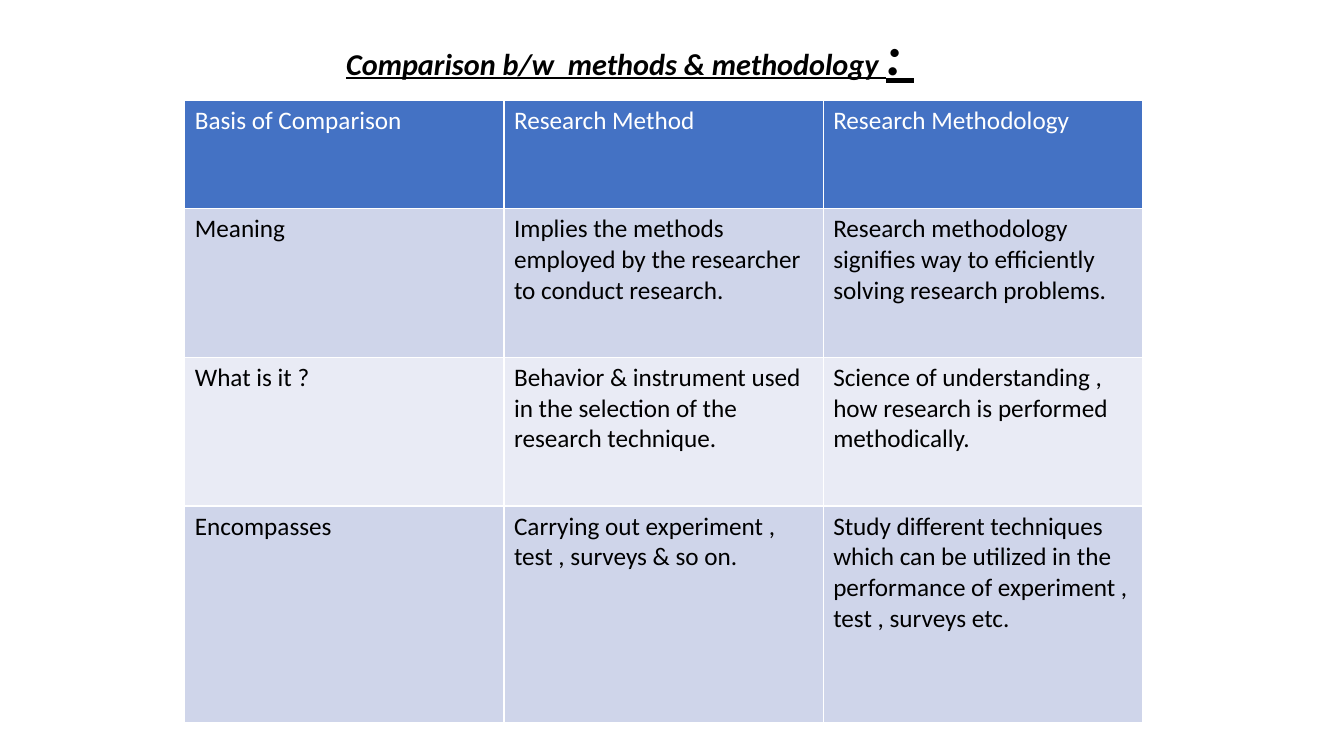
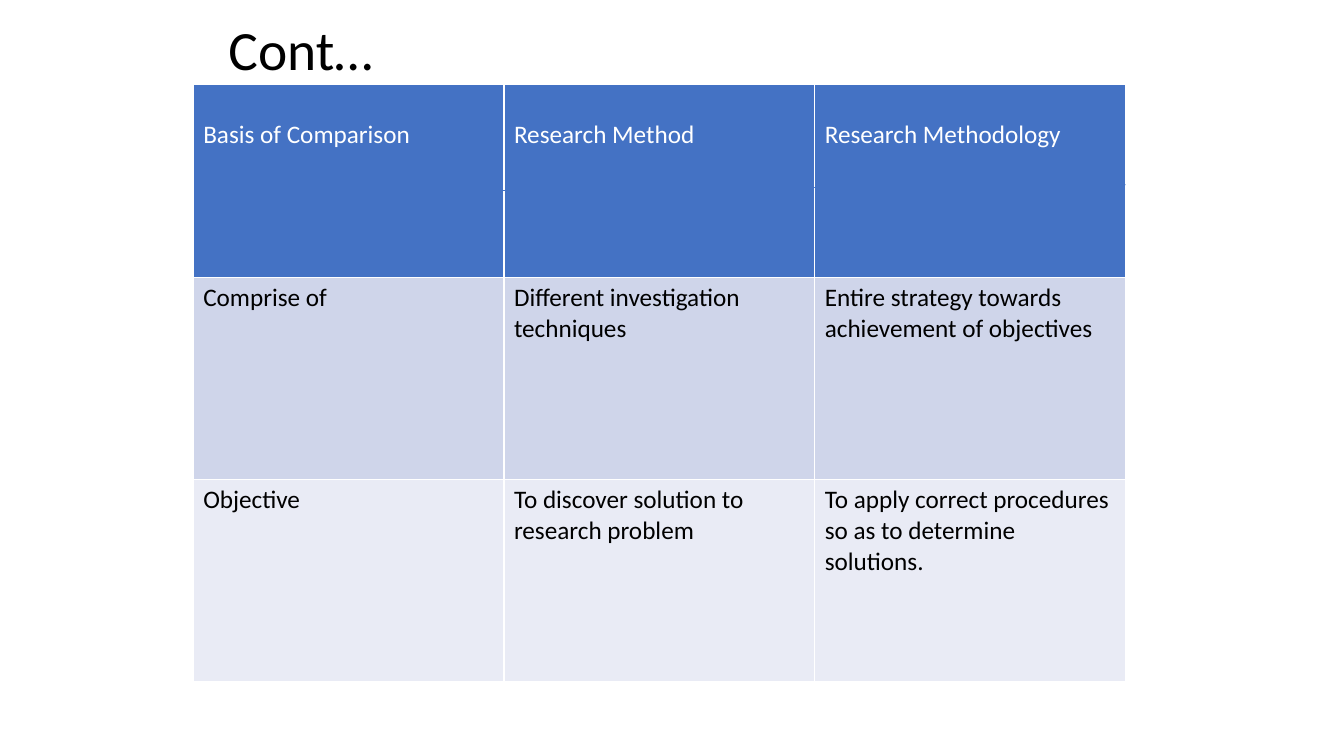
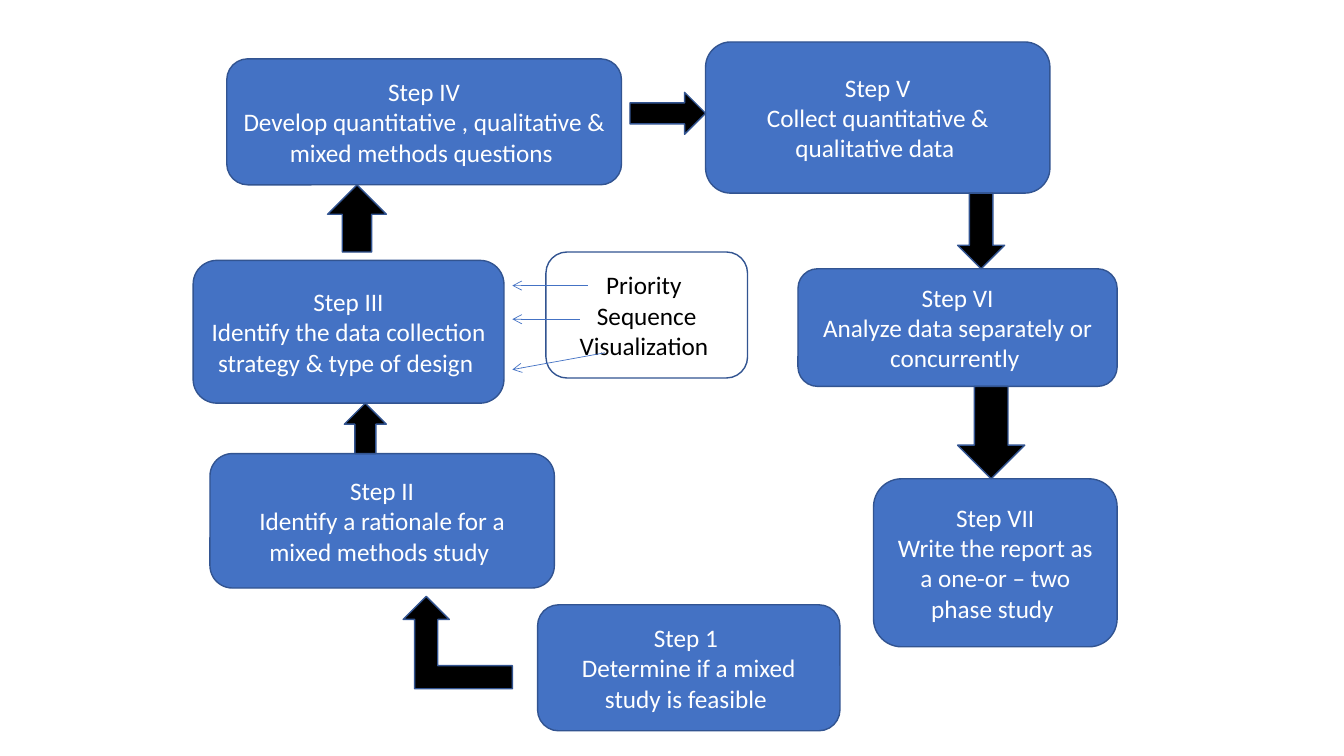
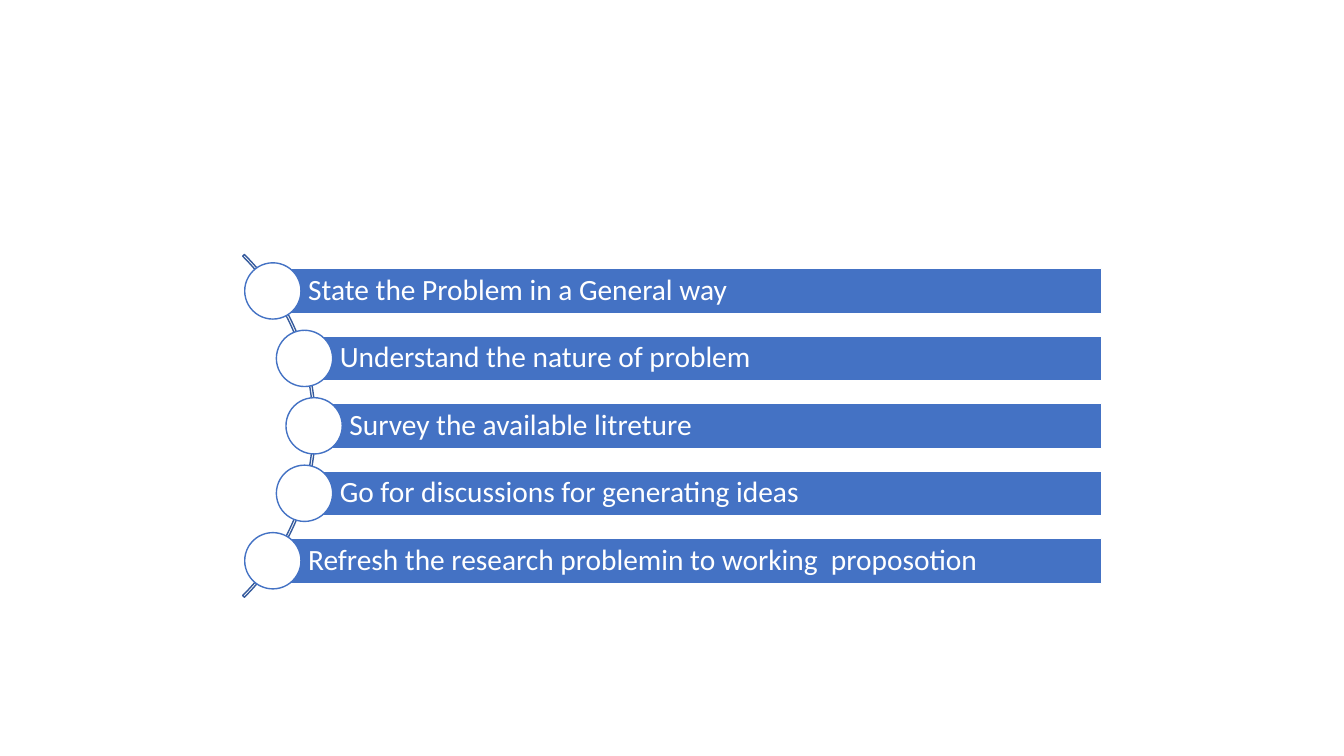
from dataclasses import dataclass
from math import sqrt

from lxml import etree
from pptx import Presentation
from pptx.dml.color import RGBColor
from pptx.enum.shapes import MSO_CONNECTOR, MSO_SHAPE
from pptx.enum.text import MSO_ANCHOR, MSO_AUTO_SIZE, PP_ALIGN
from pptx.oxml.ns import qn
from pptx.util import Inches, Pt

LEFT, CENTER = PP_ALIGN.LEFT, PP_ALIGN.CENTER
MIDDLE = MSO_ANCHOR.MIDDLE
STRAIGHT = MSO_CONNECTOR.STRAIGHT
ROUND, RECT, OVAL = MSO_SHAPE.ROUNDED_RECTANGLE, MSO_SHAPE.RECTANGLE, MSO_SHAPE.OVAL
ARC, BENT = MSO_SHAPE.BLOCK_ARC, MSO_SHAPE.BENT_UP_ARROW
UP, RIGHT, DOWN = MSO_SHAPE.UP_ARROW, MSO_SHAPE.RIGHT_ARROW, MSO_SHAPE.DOWN_ARROW

COLS, ROWS = 160, 90  # square grid, twelve units to the inch
TITLE_ONLY, BLANK = 5, 6


@dataclass(frozen=True)
class Theme:
    font: str = "Calibri"
    accent: str = "4472C4"
    outline: str = "325491"
    arc: str = "365B9D"
    dark: str = "000000"
    light: str = "FFFFFF"
    stripes: tuple = ("CFD5EA", "E9EBF5")
    title: float = 39.6
    subtitle: float = 21.6
    step: float = 21
    body: float = 18
    rule: float = 1
    hairline: float = 0.5


def grid(n):
    return Inches(n / 12)


def rgb(color):
    return RGBColor.from_string(color)


class Deck:
    def __init__(self, theme):
        self.t = theme
        self.prs = Presentation()
        self.prs.slide_width, self.prs.slide_height = grid(COLS), grid(ROWS)
        self.s = None

    def slide(self, layout=BLANK):
        self.s = self.prs.slides.add_slide(self.prs.slide_layouts[layout])

    def run(self, p, text, size, color):
        r = p.add_run()
        r.text = text
        r.font.name, r.font.size = self.t.font, Pt(size)
        r.font.color.rgb = rgb(color)
        return r

    def title(self, box, runs, align=LEFT, emphasis=False):
        """Fill the title placeholder with (text, size) runs."""
        sp = self.s.shapes.title
        sp.left, sp.top, sp.width, sp.height = map(grid, box)
        tf = sp.text_frame
        tf.auto_size, tf.vertical_anchor = MSO_AUTO_SIZE.NONE, MIDDLE
        p = tf.paragraphs[0]
        p.alignment, p.line_spacing = align, 0.9
        for text, size in runs:
            f = self.run(p, text, size, self.t.dark).font
            if emphasis:
                f.bold = f.italic = f.underline = True

    def shape(self, kind, box, fill=None, line=None, flip=False):
        sp = self.s.shapes.add_shape(kind, *map(grid, box))
        sp.shadow.inherit = False
        if fill:
            sp.fill.solid()
            sp.fill.fore_color.rgb = rgb(fill)
        else:
            sp.fill.background()
        sp.line.color.rgb = rgb(line or self.t.outline)
        sp.line.width = Pt(self.t.rule)
        if flip:
            sp.element.spPr.find(qn("a:xfrm")).set("flipH", "1")
        return sp

    def label(self, sp, lines, size, color, align=CENTER):
        tf = sp.text_frame
        tf.word_wrap, tf.vertical_anchor = True, MIDDLE
        for i, line in enumerate(lines):
            p = tf.add_paragraph() if i else tf.paragraphs[0]
            p.alignment = align
            self.run(p, line, size, color)
        return tf

    def card(self, box, lines, filled=True):
        sp = self.shape(ROUND, box, self.t.accent if filled else None)
        self.label(sp, lines, self.t.body, self.t.light if filled else self.t.dark)

    def line(self, x1, y1, x2, y2, arrow=False):
        c = self.s.shapes.add_connector(STRAIGHT, *map(grid, (x1, y1, x2, y2)))
        c.line.color.rgb = rgb(self.t.accent)
        c.line.width = Pt(self.t.hairline)
        sp_pr = c._element.spPr
        etree.SubElement(sp_pr, qn("a:effectLst"))
        if arrow:
            etree.SubElement(sp_pr.find(qn("a:ln")), qn("a:tailEnd"), type="arrow")

    def borders(self, cell):
        tc_pr = cell._tc.get_or_add_tcPr()
        for i, side in enumerate("LRTB"):
            ln = etree.Element(qn(f"a:ln{side}"), w=str(int(Pt(self.t.rule))))
            fill = etree.SubElement(ln, qn("a:solidFill"))
            etree.SubElement(fill, qn("a:srgbClr"), val=self.t.light)
            tc_pr.insert(i, ln)

    def table(self, x, y, width, heights, rows, header_drop=0):
        """Equal columns; header_drop lowers the header text."""
        n = len(rows[0])
        tbl = self.s.shapes.add_table(
            len(rows), n, *map(grid, (x, y, width, sum(heights)))).table
        tbl.first_row = tbl.horz_banding = False
        for col in tbl.columns:
            col.width = grid(width / n)
        for i, (height, texts) in enumerate(zip(heights, rows)):
            tbl.rows[i].height = grid(height)
            for j, text in enumerate(texts):
                cell = tbl.cell(i, j)
                cell.fill.solid()
                cell.fill.fore_color.rgb = rgb(
                    self.t.stripes[(i - 1) % 2] if i else self.t.accent)
                if not i and header_drop:
                    cell.margin_top = grid(header_drop)
                self.run(cell.text_frame.paragraphs[0], text, self.t.body,
                         self.t.dark if i else self.t.light)
                self.borders(cell)


HEADER = ("Basis of Comparison", "Research Method", "Research Methodology")


def comparison(d):
    d.slide(TITLE_ONLY)
    d.title((26, 3.6, 98, 6.4),
            [("Comparison b/w  methods & methodology ", d.t.subtitle),
             (": ", d.t.title)], CENTER, emphasis=True)
    d.table(22, 12, 114, (12.85, 17.7, 17.7, 25.8), [
        HEADER,
        ("Meaning",
         "Implies the methods employed by the researcher to conduct research.",
         "Research methodology signifies way to efficiently solving research problems."),
        ("What is it ?",
         "Behavior & instrument used in the selection of the research technique.",
         "Science of understanding , how research is performed methodically."),
        ("Encompasses",
         "Carrying out experiment , test , surveys & so on.",
         "Study different techniques which can be utilized in the performance "
         "of experiment , test , surveys etc."),
    ])


def comparison_continued(d):
    d.slide(TITLE_ONLY)
    d.title((26, 3.6, 98, 5.4), [("Cont…", d.t.title)])
    d.table(23, 10, 111, (23, 24.1, 24.1), [
        HEADER,
        ("Comprise of", "Different investigation techniques",
         "Entire strategy towards achievement of objectives"),
        ("Objective", "To discover solution to research problem",
         "To apply correct procedures so as to determine solutions."),
    ], header_drop=4.2)
    d.line(24, 23, 134, 22)


def research_steps(d):
    d.slide()
    # Step cards
    for box, name, text in [
        ((27, 7, 47, 15), "Step IV",
         "Develop quantitative , qualitative & mixed methods questions "),
        ((23, 31, 37, 17), "Step III",
         "Identify the data collection strategy & type of design "),
        ((95, 32, 38, 14), "Step VI", "Analyze data separately or concurrently "),
        ((84, 5, 41, 18), "Step V", "Collect quantitative & qualitative data "),
        ((25, 54, 41, 16), "Step II",
         "Identify a rationale for a mixed methods study "),
        ((64, 72, 36, 15), "Step 1 ", "Determine if a mixed study is feasible "),
        ((104, 57, 29, 20), "Step VII",
         "Write the report as a one-or – two phase study "),
    ]:
        d.card(box, (name, text))
    # Design considerations pointing at step III
    d.card((65, 30, 24, 15), ("Priority ", "Sequence", "Visualization "), filled=False)
    for x, y, end_y in [(70, 34, 34), (69, 38, 38), (72, 42, 44)]:
        d.line(x, y, 61, end_y, arrow=True)
    # Block arrows between the steps
    d.shape(BENT, (48, 71, 13, 11), d.t.dark, flip=True)
    for kind, box in [
        (UP, (41, 48, 5, 6)), (UP, (39, 22, 7, 8)), (RIGHT, (75, 11, 9, 5)),
        (DOWN, (114, 23, 5.6, 9)), (DOWN, (114, 46, 8, 11)),
    ]:
        d.shape(kind, box, d.t.dark)


def problem_steps(d):
    d.slide()
    cx, cy, radius = 8.7, 50.7, 28.7
    pitch, band, dot, right = 8.03, 5.36, 6.7, 131.15
    # Arc that carries the dots
    outer = radius + 0.15
    arc = d.shape(ARC, (cx - outer, cy - outer, 2 * outer, 2 * outer), line=d.t.arc)
    for i, value in enumerate((189, 27, 0.005)):
        arc.adjustments[i] = value
    # One band and one dot per step, centred on the arc
    for i, text in enumerate([
        "State the Problem in a General way",
        "Understand the nature of problem",
        "Survey the available litreture",
        "Go for discussions for generating ideas",
        "Refresh the research problemin to working  proposotion",
    ]):
        dy = (i - 2) * pitch
        x, y = cx + sqrt(radius ** 2 - dy ** 2), cy + dy
        sp = d.shape(RECT, (x, y - band / 2, right - x, band), d.t.accent, d.t.light)
        tf = d.label(sp, [text], d.t.step, d.t.light, LEFT)
        tf.paragraphs[0].line_spacing = 0.9
        tf.margin_left = Inches(0.35)
        tf.margin_top = tf.margin_right = tf.margin_bottom = Inches(0.06)
        d.shape(OVAL, (x - dot / 2, y - dot / 2, dot, dot), d.t.light, d.t.accent)


def main():
    d = Deck(Theme())
    for build in (comparison, comparison_continued, research_steps, problem_steps):
        build(d)
    d.prs.save("out.pptx")


if __name__ == "__main__":
    main()
